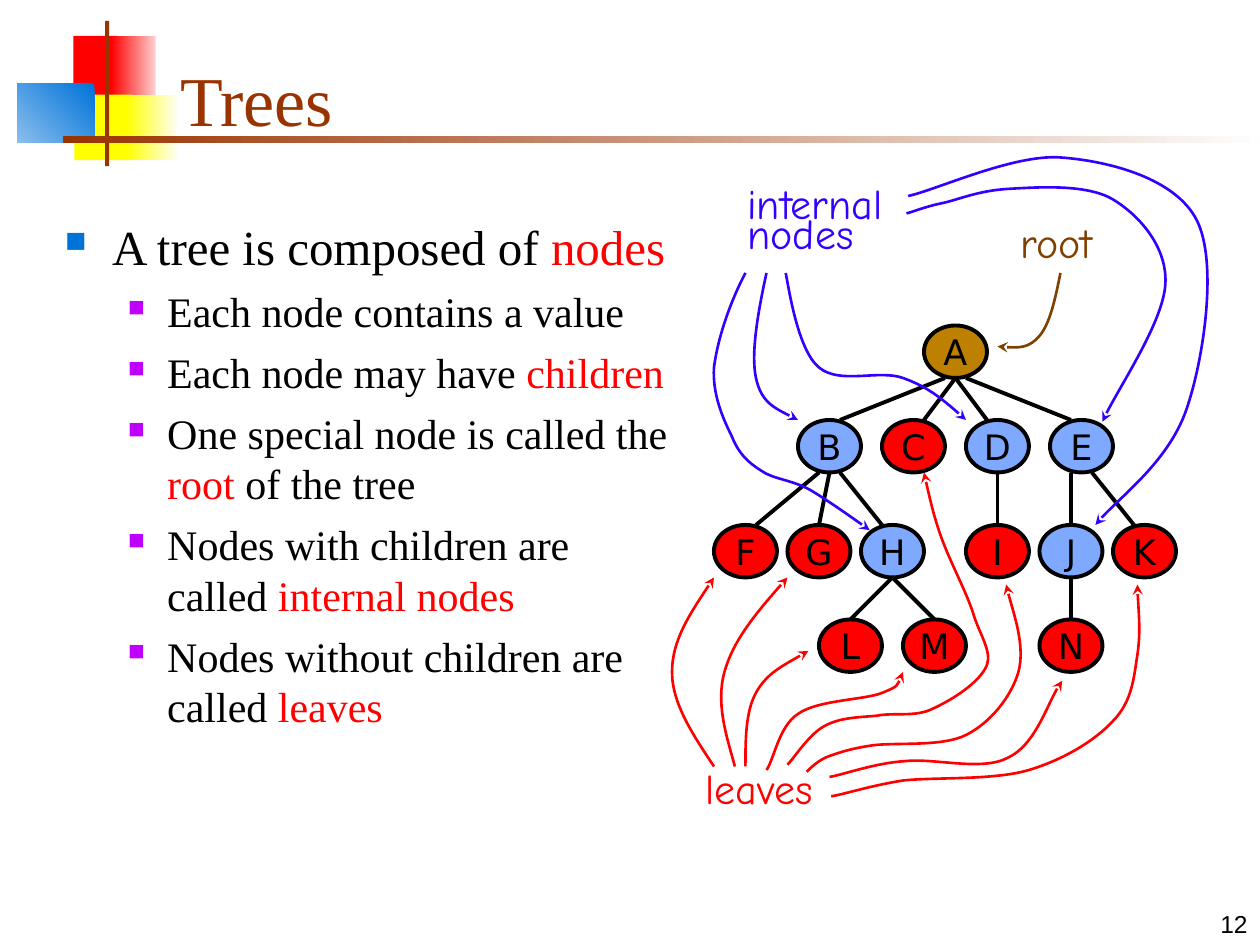
from lxml.etree import SubElement
from pptx import Presentation
from pptx.dml.color import RGBColor
from pptx.enum.shapes import MSO_CONNECTOR, MSO_SHAPE as SHAPE
from pptx.enum.text import MSO_ANCHOR as ANCHOR, PP_ALIGN as ALIGN
from pptx.oxml.ns import qn
from pptx.util import Pt

RED, BLUE, VIOLET = "FF0000", "7FA8FF", "3300FF"
BROWN, GOLD, ROOT_BROWN = "993300", "BE8000", "804000"
BLACK, YELLOW, SKY = "000000", "FFFF00", "0073D9"
SERIF, HAND = "Times New Roman", "Comic Neue"
NODE_W, NODE_H = 36, 30

# Rectangles of the corner motif: left, top, width, height, colours, gradient angle
MOTIF = [
    (42, 20.5, 25, 37.5, [RED], 0),
    (63.5, 20.5, 25.5, 37.5, ["FED0D0", RED], 180),
    (42.5, 54, 33, 37.5, [YELLOW], 0),
    (72, 54, 29, 37.5, ["FEFEEF", YELLOW], 180),
    (10, 48, 44, 33.5, [SKY, "8ABEEC"], 225),
    (60, 12, 2.4, 83, [BROWN], 0),
    (36, 77.8, 684, 4, ["FEFEFE", BROWN], 180),
]

# Text between bars is highlighted
HEADING = "A tree is composed of |nodes|"
DETAILS = [
    "Each node contains a value",
    "Each node may have |children|",
    "One special node is called the |root| of the tree",
    "Nodes with children are called |internal nodes|",
    "Nodes without children are called |leaves|",
]

# Tree levels: top, then the left edge of each node
LEVELS = [
    (186, {"A": 528}),
    (240, {"B": 456, "C": 504, "D": 552, "E": 600}),
    (300, {"F": 408, "G": 450, "H": 492, "I": 552, "J": 594, "K": 636}),
    (354, {"L": 468, "M": 516, "N": 594}),
]
INTERNAL = "BDEHJ"

# Edges into each level: x at the child's top, x at the parent's bottom
EDGES = [
    [(480, 540), (528, 546), (564, 546), (612, 552)],
    [(432, 468), (468, 474), (504, 480), (570, 570), (612, 612), (648, 624)],
    [(486, 510), (534, 510), (612, 612)],
]

# Pointers: a start point, then three Bézier points for each curve segment
ROOT_POINTERS = ["606,156 603,171 600,185 594,192 588,199 579,199 570,198"]
INTERNAL_POINTERS = [
    "438,156 433,179 429,202 432,216 435,230 446,235 456,240",
    "449,156 451,166 456,200 468,210 480,220 502,211 516,216 530,221 541,230 552,240",
    "518,122 522,121 529,118 539,116 548,114 559,109 576,108 593,107 621,105 636,114 "
    "651,123 667,141 666,162 665,183 637,225 630,241",
    "519,112 534,109 579,88 606,90 634,92 672,102 684,126 696,150 688,205 678,234 "
    "668,263 636,287 626,300",
    "426,156 417,173 410,194 408,210 407,225 413,239 418,249 422,259 427,264 435,269 "
    "442,274 452,274 463,280 473,286 490,298 497,303",
]
LEAF_POINTERS = [
    "450,437 454,433 462,420 471,415 480,410 490,410 501,409 511,407 523,410 533,405 "
    "544,400 560,390 564,380 567,372 559,361 556,350 552,338 544,323 539,310 "
    "534,297 530,279 528,270",
    "408,438 396,420 384,402 384,384 384,366 396,348 408,330",
    "420,438 415,420 409,402 414,384 419,366 434,348 450,330",
    "426,438 426,423 426,407 432,396 438,385 450,379 462,372",
    "438,440 442,435 445,415 456,408 467,400 494,400 504,396 514,392 515,388 516,384",
    "461,441 463,439 468,434 474,432 480,430 485,428 498,426 511,424 538,427 552,420 "
    "566,413 578,398 582,384 586,369 577,344 575,334",
    "474,444 481,443 500,436 517,435 534,433 561,441 576,433 591,426 600,398 607,389",
    "475,455 482,454 497,449 516,446 534,444 568,446 588,440 608,434 626,423 636,412 "
    "647,401 648,387 650,374 652,361 650,342 650,334",
]


def rgb(color):
    return RGBColor.from_string(color)


def set_font(run, size, face, color):
    run.font.size = Pt(size)
    run.font.name = face
    run.font.color.rgb = rgb(color)


def set_line(shape, color, width):
    shape.line.color.rgb = rgb(color)
    shape.line.width = Pt(width)


def add_motif_block(slide, left, top, width, height, colors, angle):
    block = slide.shapes.add_shape(SHAPE.RECTANGLE, Pt(left), Pt(top), Pt(width), Pt(height))
    block.shadow.inherit = False
    block.line.fill.background()
    if len(colors) == 1:
        block.fill.solid()
        block.fill.fore_color.rgb = rgb(colors[0])
        return
    block.fill.gradient()
    block.fill.gradient_angle = angle
    for stop, color in zip(block.fill.gradient_stops, colors):
        stop.color.rgb = rgb(color)


def add_text(slide, box, text, size, face, color, anchor=ANCHOR.TOP, align=ALIGN.LEFT,
             before=0, spacing=1.0):
    frame = slide.shapes.add_textbox(*map(Pt, box)).text_frame
    frame.word_wrap = True
    frame.vertical_anchor = anchor
    frame.text = text
    paragraph = frame.paragraphs[0]
    paragraph.alignment = align
    paragraph.space_before = Pt(before)
    paragraph.line_spacing = spacing
    set_font(paragraph.runs[0], size, face, color)


def format_bullet(paragraph, text, size, before, indent, hanging, color, percent):
    for i, part in enumerate(text.split("|")):
        if part:
            run = paragraph.add_run()
            run.text = part
            set_font(run, size, SERIF, RED if i % 2 else BLACK)
    paragraph.space_before = Pt(before)
    props = paragraph._p.get_or_add_pPr()
    props.set("marL", str(Pt(indent)))
    props.set("indent", str(-Pt(hanging)))
    SubElement(SubElement(props, qn("a:buClr")), qn("a:srgbClr")).set("val", color)
    SubElement(props, qn("a:buSzPct")).set("val", str(percent * 1000))
    SubElement(props, qn("a:buChar")).set("char", "■")


def add_bullets(slide):
    frame = slide.shapes.add_textbox(Pt(30), Pt(120), Pt(360), Pt(375)).text_frame
    frame.word_wrap = True
    format_bullet(frame.paragraphs[0], HEADING, 28, 7, 27, 27, SKY, 60)
    for detail in DETAILS:
        format_bullet(frame.add_paragraph(), detail, 24, 6, 58.5, 22.5, "BF00FF", 55)


def add_node(slide, label, left, top):
    node = slide.shapes.add_shape(SHAPE.OVAL, Pt(left), Pt(top), Pt(NODE_W), Pt(NODE_H))
    node.shadow.inherit = False
    node.fill.solid()
    node.fill.fore_color.rgb = rgb(GOLD if label == "A" else BLUE if label in INTERNAL else RED)
    set_line(node, BLACK, 2.25)
    frame = node.text_frame
    frame.word_wrap = False
    frame.vertical_anchor = ANCHOR.MIDDLE
    frame.text = label
    frame.paragraphs[0].alignment = ALIGN.CENTER
    set_font(frame.paragraphs[0].runs[0], 20, "DejaVu Sans", BLACK)


def add_edge(slide, *ends):
    edge = slide.shapes.add_connector(MSO_CONNECTOR.STRAIGHT, *map(Pt, ends))
    set_line(edge, BLACK, 2.25)
    SubElement(edge._element.spPr, qn("a:effectLst"))


def add_pointer(slide, route, color):
    start, *rest = [tuple(Pt(float(n)) for n in pair.split(",")) for pair in route.split()]
    builder = slide.shapes.build_freeform(*start)
    builder.add_line_segments(rest, close=False)
    pointer = builder.convert_to_shape()
    pointer.shadow.inherit = False
    pointer.fill.background()
    set_line(pointer, color, 1.5)
    SubElement(pointer.line._get_or_add_ln(), qn("a:tailEnd")).set("type", "stealth")
    # Turn each three straight steps into one Bézier segment
    steps = list(pointer._element.iter(qn("a:lnTo")))
    outline = steps[0].getparent()
    for i in range(0, len(steps), 3):
        curve = SubElement(outline, qn("a:cubicBezTo"))
        for step in steps[i:i + 3]:
            curve.append(step[0])
            outline.remove(step)


def main():
    prs = Presentation()
    prs.slide_width, prs.slide_height = Pt(720), Pt(540)
    slide = prs.slides.add_slide(prs.slide_layouts[6])

    # Motif, title and bullets
    for block in MOTIF:
        add_motif_block(slide, *block)
    add_bullets(slide)
    add_text(slide, (96, 18, 613, 66), "Trees", 40, SERIF, BROWN, ANCHOR.BOTTOM)

    # Tree
    for top, nodes in LEVELS:
        for label, left in nodes.items():
            add_node(slide, label, left, top)
    for (parent_top, _), (child_top, _), edges in zip(LEVELS, LEVELS[1:], EDGES):
        for child_x, parent_x in edges:
            add_edge(slide, child_x, child_top, parent_x, parent_top + NODE_H)

    # Labels with their pointers
    for text, box, color, spacing, routes in [
        ("root", (576, 120, 84, 36), ROOT_BROWN, 1.0, ROOT_POINTERS),
        ("internal nodes", (420, 108, 108, 42), VIOLET, 0.6, INTERNAL_POINTERS),
        ("leaves", (396, 432, 144, 36), RED, 1.0, LEAF_POINTERS),
    ]:
        add_text(slide, box, text, 24, HAND, color, before=15, spacing=spacing)
        for route in routes:
            add_pointer(slide, route, color)

    # Page number
    add_text(slide, (570, 504, 150, 36), "12", 14, "Arial", BLACK, ANCHOR.BOTTOM, ALIGN.RIGHT)
    prs.save("out.pptx")


if __name__ == "__main__":
    main()
